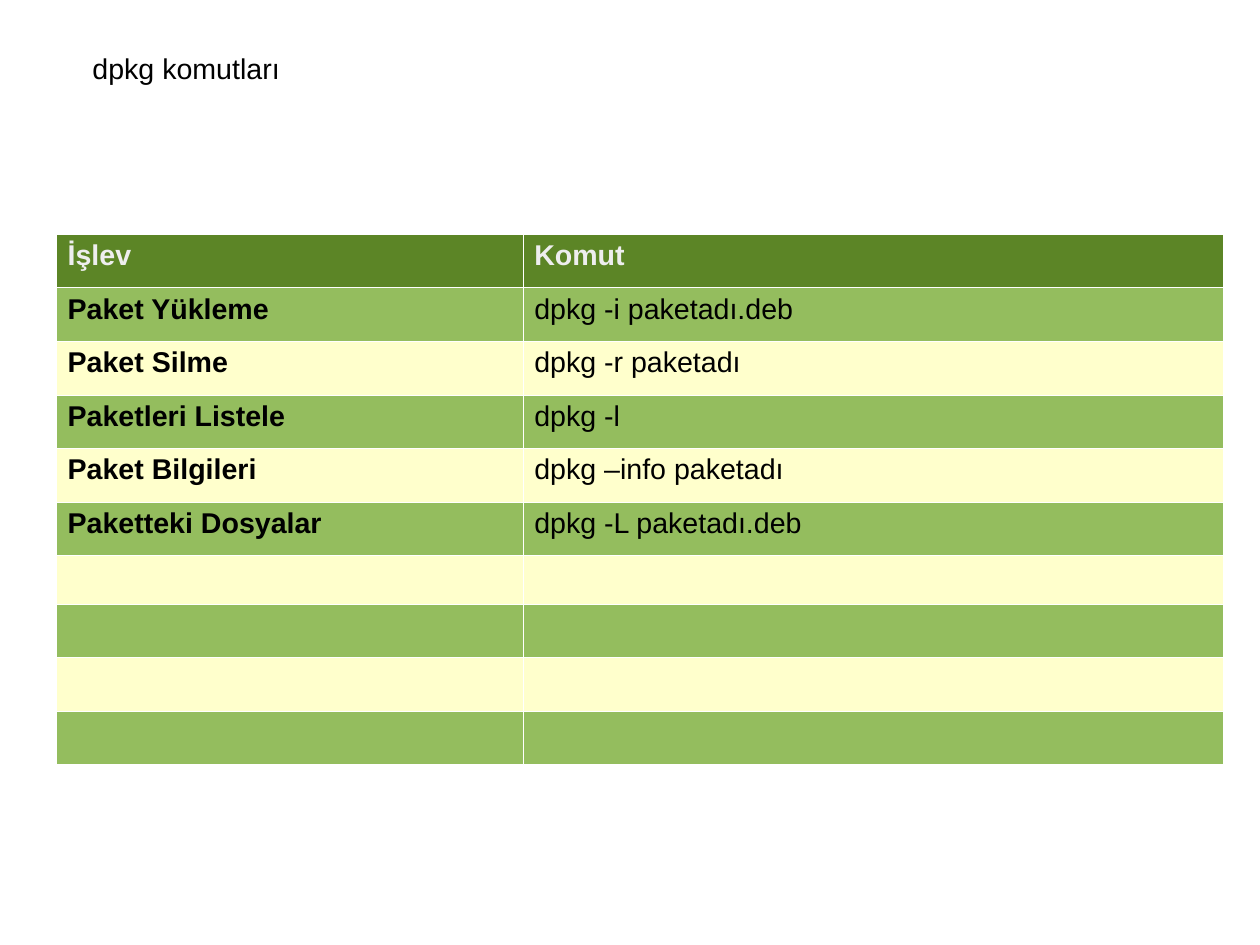
from lxml import etree
from pptx import Presentation
from pptx import util as u
from pptx.dml.color import RGBColor
from pptx.enum import text
from pptx.oxml import ns

BLACK = RGBColor(0x00, 0x00, 0x00)
PALE = RGBColor(0xEE, 0xEE, 0xEE)
DARK = RGBColor(0x5C, 0x85, 0x26)
GREEN = RGBColor(0x94, 0xBD, 0x5E)
CREAM = RGBColor(0xFF, 0xFF, 0xCC)
WHITE = RGBColor(0xFF, 0xFF, 0xFF)

FONT = {"name": "Arial", "size": u.Pt(18), "bold": False}
ROWS = [
    ("İşlev", "Komut"),
    ("Paket Yükleme", "dpkg -i paketadı.deb"),
    ("Paket Silme", "dpkg -r paketadı"),
    ("Paketleri Listele", "dpkg -l"),
    ("Paket Bilgileri", "dpkg –info paketadı"),
    ("Paketteki Dosyalar", "dpkg -L paketadı.deb"),
] + [("", "")] * 4
COLS = [10.37, 15.57]
HIGH = [1.19] * 6 + [1.08] + [1.19] * 3


def style(item, color, **extra):
    """Format the first paragraph of a text frame."""
    font = item.paragraphs[0].font
    for key, value in {**FONT, **extra}.items():
        setattr(font, key, value)
    font.color.rgb = color


def add_title(slide, words):
    title = slide.shapes.title
    place = {"left": 1.8, "top": 1, "width": 24.2, "height": 0.97}
    for key, value in place.items():
        setattr(title, key, u.Cm(value))
    frame = title.text_frame
    frame.text = words
    frame.word_wrap = True
    frame.auto_size = text.MSO_AUTO_SIZE.NONE
    frame.vertical_anchor = text.MSO_ANCHOR.TOP
    frame.paragraphs[0].alignment = text.PP_ALIGN.LEFT
    style(frame, BLACK)


def add_edges(cell):
    """Draw a hairline on all four sides of a cell."""
    props = cell._tc.get_or_add_tcPr()
    for side in ("a:lnL", "a:lnR", "a:lnT", "a:lnB"):
        line = etree.SubElement(props, ns.qn(side), w=str(u.Pt(0.06)))
        fill = etree.SubElement(line, ns.qn("a:solidFill"))
        etree.SubElement(fill, ns.qn("a:srgbClr"), val=str(WHITE))


def fill_cell(cell, words, back, color, bold):
    add_edges(cell)
    cell.fill.solid()
    cell.fill.fore_color.rgb = back
    cell.text = words
    style(cell.text_frame, color, bold=bold)


def add_grid(slide):
    frame = slide.shapes.add_table(
        len(ROWS), len(COLS), u.Cm(1.25), u.Cm(5.2),
        u.Cm(sum(COLS)), u.Cm(sum(HIGH)))
    table = frame.table
    table.first_row = table.horz_banding = False
    for col, width in zip(table.columns, COLS):
        col.width = u.Cm(width)
    for r, (words, high) in enumerate(zip(ROWS, HIGH)):
        table.rows[r].height = u.Cm(high)
        head = r == 0
        back = DARK if head else GREEN if r % 2 else CREAM
        for c, word in enumerate(words):
            fill_cell(table.cell(r, c), word, back,
                      PALE if head else BLACK, head or c == 0)


def main():
    deck = Presentation()
    deck.slide_width, deck.slide_height = u.Cm(28), u.Cm(21)
    slide = deck.slides.add_slide(deck.slide_layouts[5])
    # Heading
    add_title(slide, "dpkg komutları")
    # Command table
    add_grid(slide)
    deck.save("out.pptx")


if __name__ == "__main__":
    main()
